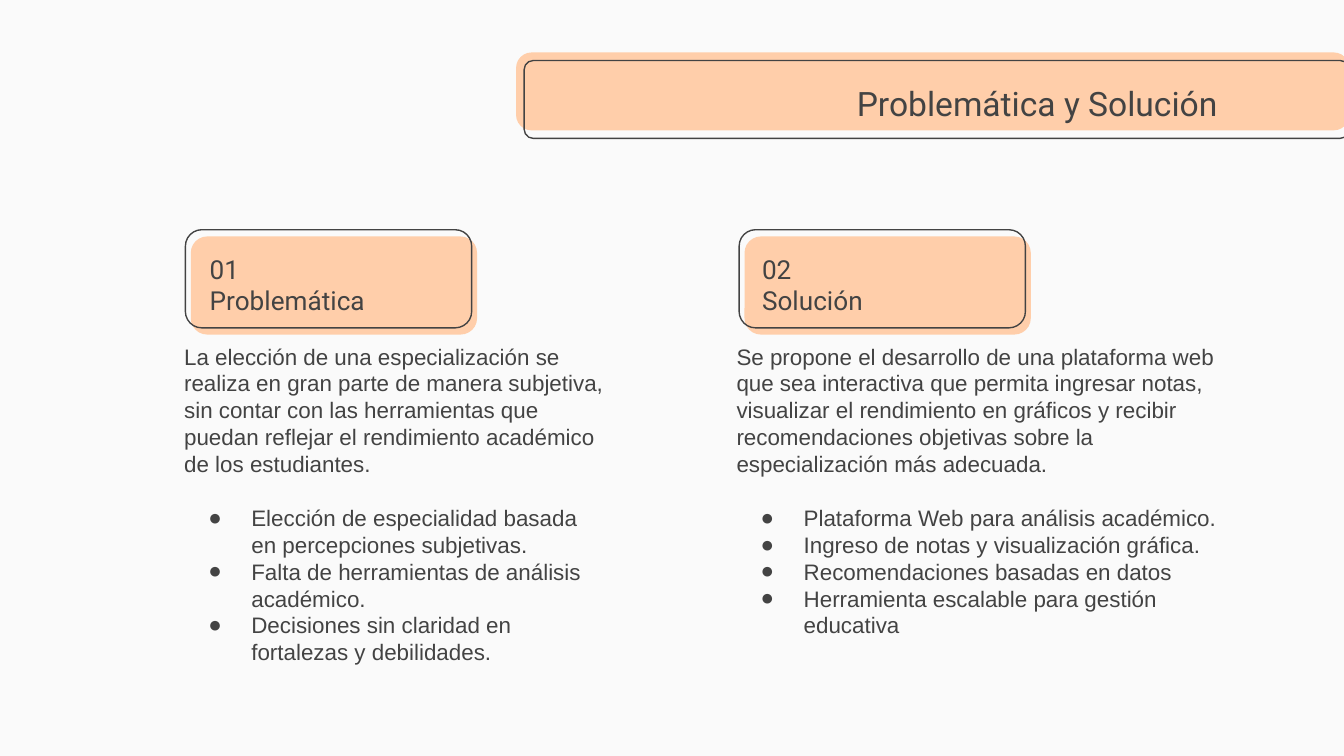
from dataclasses import dataclass

from lxml.etree import SubElement
from pptx import Presentation
from pptx.dml.color import RGBColor
from pptx.enum.shapes import MSO_SHAPE as Shape
from pptx.enum.text import MSO_ANCHOR as Anchor, MSO_AUTO_SIZE as AutoSize, PP_ALIGN as Align
from pptx.oxml.ns import qn
from pptx.util import Inches, Pt

PAPER, PEACH, INK = "FAFAFA", "FFCEAA", "434343"


@dataclass
class Column:
    """One numbered topic with its badge, text and points."""
    badge_x: float
    label_x: float
    label_w: float
    body_x: float
    body_w: float
    label: list[str]
    intro: str
    points: list[str]


COLUMNS = [
    Column(1.38, 1.46, 1.93, 1.27, 3.35, ["01", "Problemática"],
           "La elección de una especialización se realiza en gran parte de manera subjetiva, "
           "sin contar con las herramientas que puedan reflejar el rendimiento académico "
           "de los estudiantes.",
           ["Elección de especialidad basada en percepciones subjetivas.",
            "Falta de herramientas de análisis académico.",
            "Decisiones sin claridad en fortalezas y debilidades."]),
    Column(5.5, 5.57, 1, 5.38, 3.78, ["02", "Solución"],
           "Se propone el desarrollo de una plataforma web que sea interactiva que permita "
           "ingresar notas, visualizar el rendimiento en gráficos y recibir recomendaciones "
           "objetivas sobre la especialización más adecuada.",
           ["Plataforma Web para análisis académico.",
            "Ingreso de notas y visualización gráfica.",
            "Recomendaciones basadas en datos",
            "Herramienta escalable para gestión educativa"]),
]


def rgb(color: str) -> RGBColor:
    """Turn a hex string into a colour."""
    return RGBColor.from_string(color)


def add_round_rect(shapes, x: float, y: float, w: float, h: float, adj: float,
                   fill: str = "", line: str = "") -> None:
    """Draw a rounded rectangle that is filled, outlined or both."""
    sp = shapes.add_shape(Shape.ROUNDED_RECTANGLE, Inches(x), Inches(y), Inches(w), Inches(h))
    sp.shadow.inherit = False
    sp.adjustments[0] = adj
    if fill:
        sp.fill.solid()
        sp.fill.fore_color.rgb = rgb(fill)
    else:
        sp.fill.background()
    if line:
        sp.line.color.rgb = rgb(line)
        sp.line.width = Pt(0.75)
    else:
        sp.line.fill.background()


def place(sp, x: float, y: float, w: float, h: float, anchor):
    """Move a placeholder to the front and its place, and return its text frame."""
    sp.element.getparent().append(sp.element)
    sp.left, sp.top, sp.width, sp.height = map(Inches, (x, y, w, h))
    tf = sp.text_frame
    tf.word_wrap, tf.auto_size, tf.vertical_anchor = True, AutoSize.NONE, anchor
    tf.margin_left = tf.margin_top = tf.margin_right = tf.margin_bottom = Inches(0.1)
    return tf


def write(p, text: str, size: float = 12, font: str = "Arial", align=Align.LEFT,
          before: float = 0, bullet: bool = False) -> None:
    """Write one formatted paragraph, with or without a bullet."""
    p.alignment, p.line_spacing = align, 1.0
    p.space_before, p.space_after = Pt(before), Pt(0)
    r = p.add_run()
    r.text = text
    r.font.name, r.font.size, r.font.bold = font, Pt(size), False
    r.font.color.rgb = rgb(INK)
    pPr = p._p.get_or_add_pPr()
    pPr.set("marL", str(Inches(0.5) if bullet else 0))
    pPr.set("indent", str(Inches(-0.32) if bullet else 0))
    if bullet:
        SubElement(SubElement(pPr, qn("a:buClr")), qn("a:srgbClr"), val=INK)
        SubElement(pPr, qn("a:buFont"), typeface="Arial")
        SubElement(pPr, qn("a:buChar"), char="●")
    else:
        SubElement(pPr, qn("a:buNone"))


def add_column(s, col: Column, label, body) -> None:
    """Draw a column's badge and fill its label and body placeholders."""
    badge = s.shapes.add_group_shape().shapes
    add_round_rect(badge, col.badge_x + 0.04, 1.76, 2.13, 0.73, 0.167, fill=PEACH)
    add_round_rect(badge, col.badge_x, 1.71, 2.13, 0.73, 0.167, line=INK)

    tf = place(label, col.label_x, 1.82, col.label_w, 0.63, Anchor.BOTTOM)
    number, name = col.label
    write(tf.paragraphs[0], number, size=14, font="Roboto")
    write(tf.add_paragraph(), name, size=14, font="Roboto")

    tf = place(body, col.body_x, 2.45, col.body_w, 3.06, Anchor.TOP)
    write(tf.paragraphs[0], col.intro)
    for i, point in enumerate(col.points):
        write(tf.add_paragraph(), point, before=0 if i else 14.4, bullet=True)


def main() -> None:
    """Build the slide and save it."""
    prs = Presentation()
    prs.slide_width, prs.slide_height = Inches(10), Inches(10 * 9 / 16)
    s = prs.slides.add_slide(prs.slide_layouts.get_by_name("Comparison"))
    s.background.fill.solid()
    s.background.fill.fore_color.rgb = rgb(PAPER)
    title, *slots = list(s.placeholders)

    add_round_rect(s.shapes, 3.84, 0.39, 6.2, 0.58, 0.199, fill=PEACH)
    add_round_rect(s.shapes, 3.9, 0.45, 6.14, 0.58, 0.119, line=INK)
    tf = place(title, 5.67, 0.5, 3.49, 0.53, Anchor.MIDDLE)
    write(tf.paragraphs[0], "Problemática y Solución", size=18, font="Roboto", align=Align.RIGHT)

    for col, label, body in zip(COLUMNS, slots[::2], slots[1::2]):
        add_column(s, col, label, body)
    prs.save("out.pptx")


if __name__ == "__main__":
    main()
